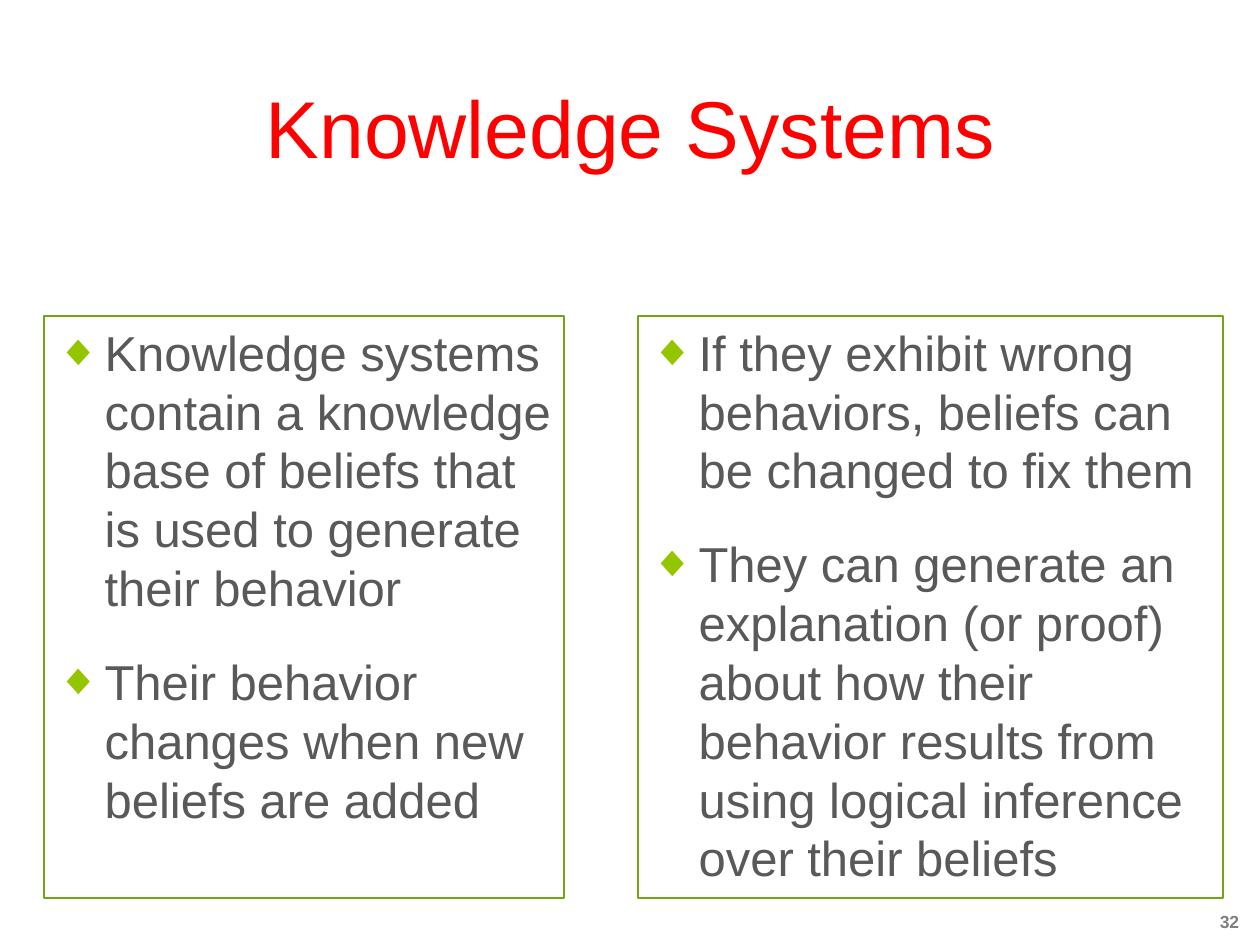
from lxml.etree import SubElement
from pptx import Presentation
from pptx.dml.color import RGBColor
from pptx.enum.text import MSO_ANCHOR as ANCHOR, MSO_AUTO_SIZE as AUTO_SIZE, PP_ALIGN as ALIGN
from pptx.oxml.ns import qn
from pptx.util import Pt

PX = 914400 // 126
GREEN, BORDER = "94C600", "74A510"


def rgb(value):
    return RGBColor.from_string(value)


def write(p, text, size, color, bold=False, align=ALIGN.LEFT, bullet=None, before=0):
    p.alignment = align
    p.space_before = Pt(before)
    if bullet:
        pPr = p._p.get_or_add_pPr()
        pPr.set("marL", str(48 * PX))
        pPr.set("indent", str(-48 * PX))
        SubElement(SubElement(pPr, qn("a:buClr")), qn("a:srgbClr"), val=GREEN)
        SubElement(pPr, qn("a:buSzPct"), val="90000")
        SubElement(pPr, qn("a:buFont"), typeface="Arial")
        SubElement(pPr, qn("a:buChar"), char=bullet)
    r = p.add_run()
    r.text = text
    r.font.name, r.font.size, r.font.bold = "Arial", Pt(size), bold
    r.font.color.rgb = rgb(color)


prs = Presentation()
prs.slide_width, prs.slide_height = 1260 * PX, 945 * PX
s = prs.slides.add_slide(prs.slide_layouts[3])
title, left_body, right_body = s.placeholders

title.left, title.top, title.width, title.height = 63 * PX, 47 * PX, 1134 * PX, 158 * PX
title.text_frame.vertical_anchor = ANCHOR.MIDDLE
title.text_frame.auto_size = AUTO_SIZE.NONE
write(title.text_frame.paragraphs[0], "Knowledge Systems", 46, "FF0000", align=ALIGN.CENTER)

columns = [
    (left_body, 44, 520, [
        "Knowledge systems contain a knowledge base of beliefs that is used to generate their behavior",
        "Their behavior changes when new beliefs are added",
    ]),
    (right_body, 638, 585, [
        "If they exhibit wrong behaviors, beliefs can be changed to fix them",
        "They can generate an explanation (or proof) about how their behavior results from "
        "using logical inference over their beliefs",
    ]),
]
for body, x, width, points in columns:
    body.left, body.top, body.width, body.height = x * PX, 316 * PX, width * PX, 582 * PX
    body.line.color.rgb = rgb(BORDER)
    body.line.width = Pt(0.75)
    tf = body.text_frame
    tf.auto_size = AUTO_SIZE.NONE
    for i, point in enumerate(points):
        p = tf.add_paragraph() if i else tf.paragraphs[0]
        write(p, point, 28, "595959", bullet="◆", before=20 if i else 0)

number = s.shapes.add_textbox(1193 * PX, 897 * PX, 73 * PX, 50 * PX)
number.text_frame.word_wrap = True
number.text_frame.vertical_anchor = ANCHOR.MIDDLE
write(number.text_frame.paragraphs[0], "32", 10, "808080", bold=True, align=ALIGN.CENTER)

prs.save("out.pptx")
